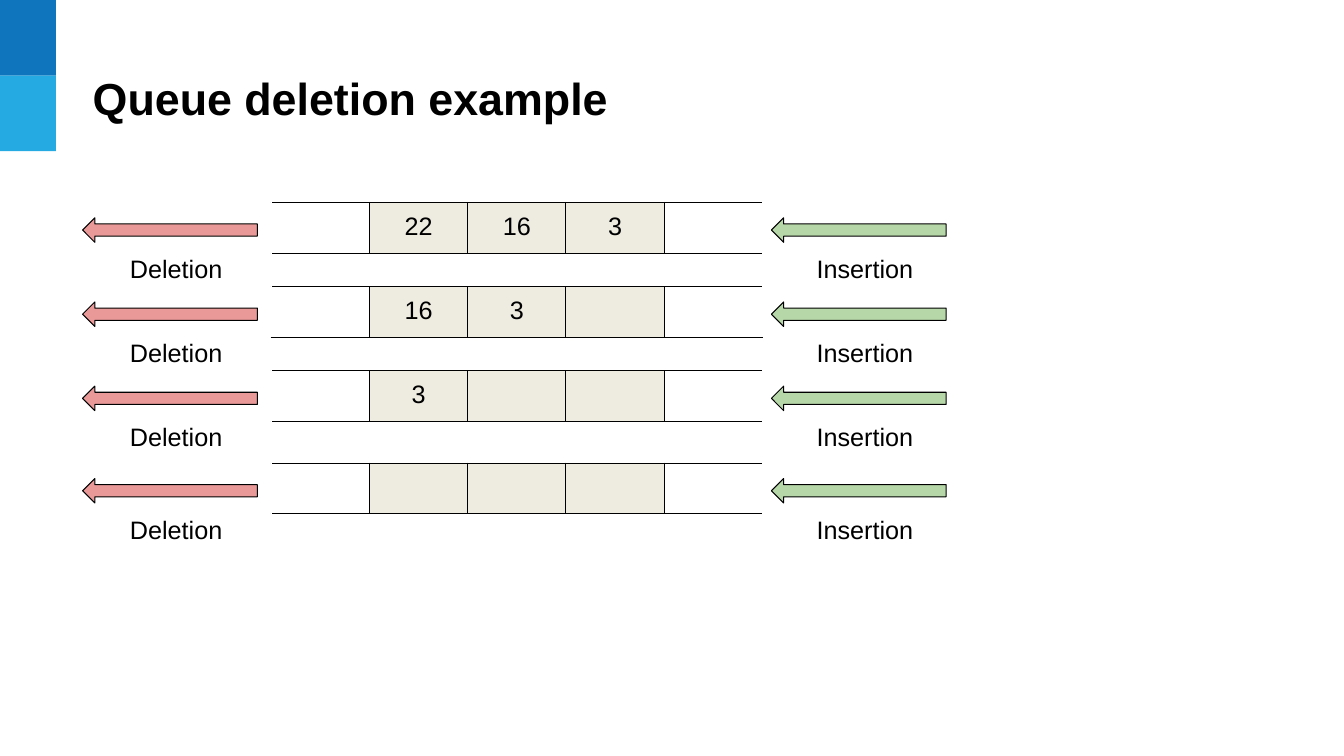
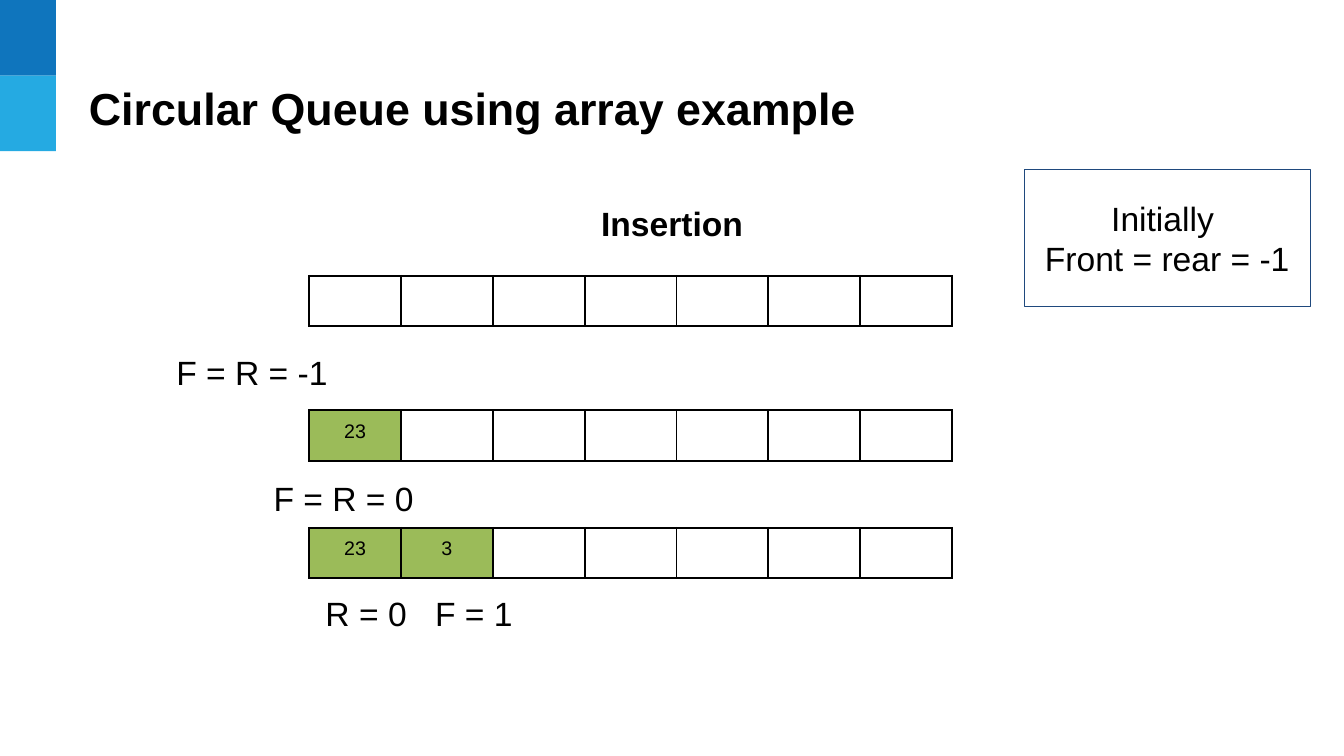
"""Build two slides that show deletion from a queue and insertion into a circular queue."""
from dataclasses import dataclass

from lxml import etree
from pptx import Presentation
from pptx.dml.color import RGBColor
from pptx.enum import shapes, text
from pptx.oxml import ns
from pptx.util import Pt


@dataclass(frozen=True)
class Theme:
    """Colours, type sizes and line widths of the deck."""
    font: str = "Arial"
    ink: str = "000000"
    paper: str = "FFFFFF"
    bands: tuple = ("0F75BD", "25AAE2")
    queued: str = "EEECE1"
    inserted: str = "9BBB59"
    deletion: str = "EA9999"
    insertion: str = "B6D7A8"
    note_edge: str = "1F497D"
    title_size: int = 32
    heading_size: int = 24
    label_size: int = 18
    slot_size: int = 14
    thin: float = 0.75
    thick: float = 1.5
    inset: float = 7.2


THEME = Theme()
ROW_HEIGHT = 35


def assign(target, values):
    """Set the attributes of target from a dict."""
    for name, value in values.items():
        setattr(target, name, value)


def insets(vertical=THEME.inset):
    """Return the four margins of a text frame or cell."""
    return {"margin_left": Pt(THEME.inset), "margin_right": Pt(THEME.inset),
            "margin_top": Pt(vertical), "margin_bottom": Pt(vertical)}


def write(frame, words, size, bold=False, align=text.PP_ALIGN.CENTER):
    """Fill a text frame and format each of its paragraphs."""
    frame.text = words
    for paragraph in frame.paragraphs:
        paragraph.alignment = align
        assign(paragraph.font, {"name": THEME.font, "size": Pt(size), "bold": bold})
        paragraph.font.color.rgb = RGBColor.from_string(THEME.ink)


def add_block(slide, kind, box, fill, edge=None):
    """Add a filled shape, outlined when an edge colour is given."""
    block = slide.shapes.add_shape(kind, *map(Pt, box))
    block.shadow.inherit = False
    block.fill.solid()
    block.fill.fore_color.rgb = RGBColor.from_string(fill)
    if edge:
        block.line.width = Pt(THEME.thin)
        block.line.color.rgb = RGBColor.from_string(edge)
    else:
        block.line.fill.background()
    return block


def add_label(slide, words, box, size, bold=False):
    """Add a centred text label."""
    frame = slide.shapes.add_textbox(*map(Pt, box)).text_frame
    assign(frame, {"word_wrap": True, "vertical_anchor": text.MSO_ANCHOR.MIDDLE, **insets()})
    write(frame, words, size, bold)


def add_note(slide, words, box):
    """Add an outlined box with centred text."""
    note = add_block(slide, shapes.MSO_SHAPE.RECTANGLE, box, THEME.paper, THEME.note_edge)
    assign(note.text_frame, {"word_wrap": True, "vertical_anchor": text.MSO_ANCHOR.MIDDLE,
                             **insets()})
    write(note.text_frame, words, THEME.heading_size)


def draw_borders(cell, width, open_side=None):
    """Draw the four borders of a cell, with the open side in the paper colour."""
    properties = cell._tc.get_or_add_tcPr()
    for side in "LRTB":
        border = etree.SubElement(properties, ns.qn(f"a:ln{side}"), w=str(Pt(width)))
        fill = etree.SubElement(border, ns.qn("a:solidFill"))
        colour = THEME.paper if side == open_side else THEME.ink
        etree.SubElement(fill, ns.qn("a:srgbClr"), val=colour)


def add_slots(slide, values, fills, box, size, width, open_ends=False):
    """Add a one-row table with a value and a fill for each slot."""
    slots = slide.shapes.add_table(1, len(values), *map(Pt, box)).table
    assign(slots, {"first_row": False, "horz_banding": False})
    open_sides = {0: "L", len(values) - 1: "R"} if open_ends else {}
    for index, (value, fill) in enumerate(zip(values, fills)):
        cell = slots.cell(0, index)
        assign(cell, insets())
        draw_borders(cell, width, open_sides.get(index))
        cell.fill.solid()
        cell.fill.fore_color.rgb = RGBColor.from_string(fill)
        if value:
            write(cell.text_frame, value, size)


def add_titled_slide(deck, words, box):
    """Add a title-only slide and place its title."""
    slide = deck.slides.add_slide(deck.slide_layouts[5])
    title = slide.shapes.title
    assign(title, dict(zip(("left", "top", "width", "height"), map(Pt, box))))
    assign(title.text_frame, {"word_wrap": True, "auto_size": text.MSO_AUTO_SIZE.NONE,
                              "vertical_anchor": text.MSO_ANCHOR.MIDDLE, **insets(3.6)})
    write(title.text_frame, words, THEME.title_size, True, text.PP_ALIGN.LEFT)
    return slide


def move_bands_to_layout(slide):
    """Draw the corner bands once, on the layout that the slides share."""
    for index, colour in enumerate(THEME.bands):
        band = add_block(slide, shapes.MSO_SHAPE.RECTANGLE, (0, 54 * index, 40, 54), colour)
        band.element.nvSpPr.cNvPr.id = 101 + index
        slide.slide_layout.shapes.element.insert(2 + index, band.element)


def add_queue_step(slide, top, queued):
    """Add a queue open at both ends, between its deletion and insertion arrows."""
    values = ["", *queued, *[""] * (4 - len(queued))]
    fills = [THEME.paper, *[THEME.queued] * 3, THEME.paper]
    add_slots(slide, values, fills, (193.7, top, 351, ROW_HEIGHT),
              THEME.label_size, THEME.thin, open_ends=True)
    for words, left, colour in (("Deletion", 59, THEME.deletion),
                                ("Insertion", 551, THEME.insertion)):
        add_block(slide, shapes.MSO_SHAPE.LEFT_ARROW, (left, top + 11, 124.8, 17.5),
                  colour, THEME.ink)
        add_label(slide, words, (left + 9.3, top + 29, 115, 36), THEME.label_size)


def add_array(slide, top, inserted):
    """Add a seven-slot array with its first slots taken."""
    free = 7 - len(inserted)
    add_slots(slide, [*inserted, *[""] * free],
              [THEME.inserted] * len(inserted) + [THEME.paper] * free,
              (220.8, top, 459.2, ROW_HEIGHT), THEME.slot_size, THEME.thick)


def build_deletion(deck):
    """Show a queue that empties in three deletions."""
    slide = add_titled_slide(deck, "Queue deletion example", (59, 37, 630, 65))
    move_bands_to_layout(slide)
    queue = ["22", "16", "3"]
    for removed, top in enumerate((144.6, 204.7, 264.8, 330.8)):
        add_queue_step(slide, top, queue[removed:])


def build_insertion(deck):
    """Show a circular queue that takes in two values."""
    slide = add_titled_slide(deck, "Circular Queue using array example", (56.3, 44, 740, 65))
    add_note(slide, "Initially \nFront = rear = -1", (731.5, 121, 204.5, 98))
    add_label(slide, "Insertion", (280, 136, 400, 47), THEME.heading_size, True)
    arrivals = ["23", "3"]
    for count, top in enumerate((197, 293, 377)):
        add_array(slide, top, arrivals[:count])
    for words, left, top, width in (("F = R = -1", 108, 250, 144), ("F = R = 0", 164, 340, 163),
                                    ("R = 0", 215, 422.5, 93), ("F = 1", 292, 422.5, 93)):
        add_label(slide, words, (left, top, width, 31), THEME.heading_size)


def main():
    """Build and save the deck."""
    deck = Presentation()
    assign(deck, {"slide_width": Pt(960), "slide_height": Pt(540)})
    build_deletion(deck)
    build_insertion(deck)
    deck.save("out.pptx")


if __name__ == "__main__":
    main()
